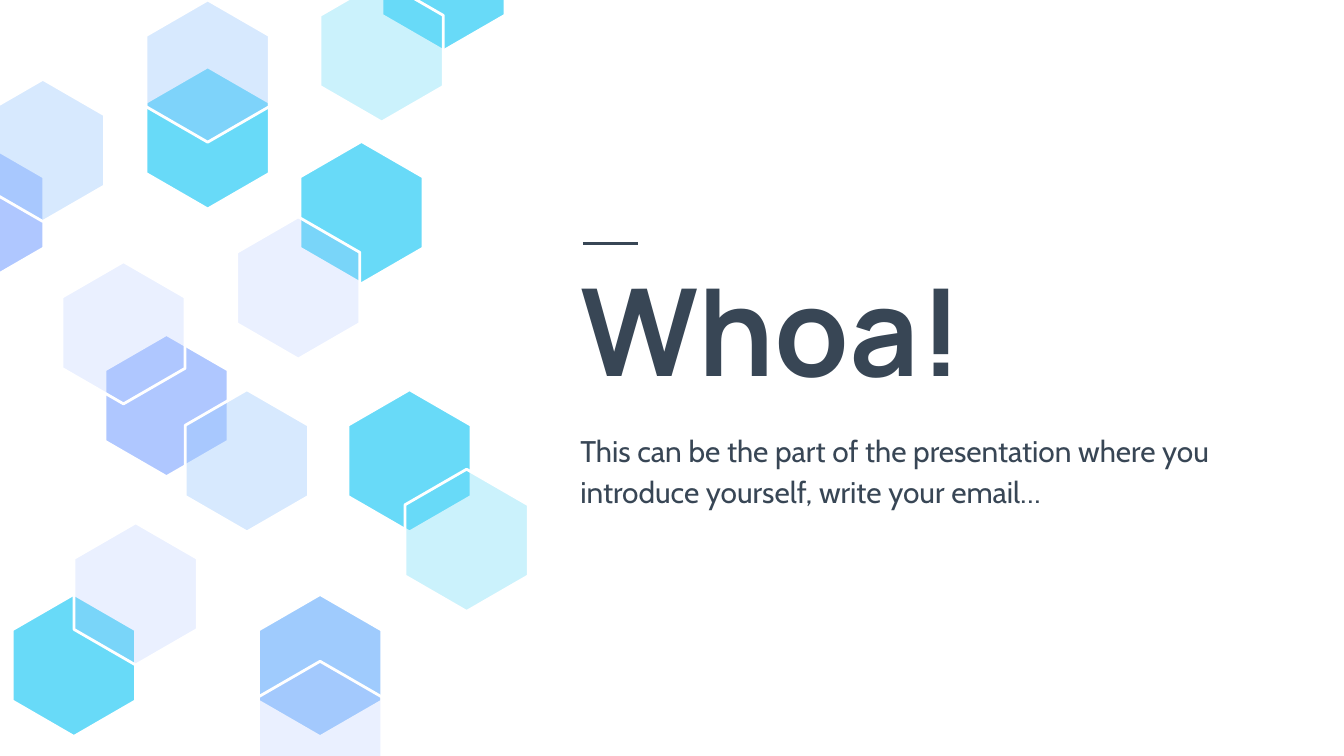
from lxml import etree
from pptx import Presentation
from pptx.dml.color import RGBColor
from pptx.enum import text as t
from pptx.oxml.ns import qn
from pptx.util import Pt

HUES = {"ink": "384655", "white": "FFFFFF", "cyan": "68DAF8",
        "lilac": "AFC7FF", "blue": "9FCBFD"}
TITLE = "Whoa!"
INTRO = ("This can be the part of the presentation where you "
         "introduce yourself, write your email…")
HEXES = [
    (39.6, 318.4, "cyan", 100),
    (111.3, 35.8, "cyan", 100),
    (193.7, 75.8, "cyan", 100),
    (-9.6, 75.8, "lilac", 100),
    (111.3, 0, "blue", 41),
    (89.2, 179.2, "lilac", 100),
    (66.2, 140.2, "lilac", 25),
    (159.8, 116.2, "lilac", 25),
    (237.6, -49, "cyan", 100),
    (132.3, 208.8, "blue", 41),
    (204.5, -10.8, "cyan", 34),
    (171.5, 318.5, "blue", 100),
    (219.4, 208.8, "cyan", 100),
    (72.7, 280.1, "lilac", 25),
    (171.5, 354.3, "lilac", 25),
    (23, 42.5, "blue", 41),
    (250, 251.4, "cyan", 34),
]
WIDE, TALL = 66, 76.2
LEFT, TOP, SPAN = 303.84, 130.32, 360
HEAD, BODY, INSET = 91.44, 52.56, 7.2


def tint(name):
    return RGBColor.from_string(HUES[name])


def write(shape, words, font, size, bold=False, anchor=t.MSO_ANCHOR.TOP, space=1.0):
    frame = shape.text_frame
    frame.word_wrap = True
    frame.auto_size = t.MSO_AUTO_SIZE.NONE
    frame.vertical_anchor = anchor
    frame.margin_left = frame.margin_right = Pt(INSET)
    frame.margin_top = frame.margin_bottom = Pt(INSET)
    para = frame.paragraphs[0]
    para.alignment = t.PP_ALIGN.LEFT
    para.line_spacing = space
    run = para.add_run()
    run.text = words
    run.font.name, run.font.size, run.font.bold = font, Pt(size), bold
    run.font.color.rgb = tint("ink")


def draw_hex(group, mid, top, hue, alpha):
    half, step = WIDE / 2, TALL / 4
    spots = [(mid + half, top + step), (mid + half, top + 3 * step),
             (mid, top + TALL), (mid - half, top + 3 * step),
             (mid - half, top + step)]
    path = group.shapes.build_freeform(Pt(mid), Pt(top))
    path.add_line_segments([(Pt(x), Pt(y)) for x, y in spots], close=True)
    shape = path.convert_to_shape()
    shape.shadow.inherit = False
    shape.fill.solid()
    shape.fill.fore_color.rgb = tint(hue)
    shape.line.color.rgb = tint("white")
    shape.line.width = Pt(1.5)
    if alpha < 100:
        color = shape._element.spPr.find(qn("a:solidFill"))[0]
        etree.SubElement(color, qn("a:alpha"), val=str(alpha * 1000))


def main():
    deck = Presentation()
    deck.slide_width, deck.slide_height = Pt(720), Pt(405)
    slide = deck.slides.add_slide(deck.slide_layouts[5])
    title = slide.shapes.title
    title.left, title.top = Pt(LEFT), Pt(TOP)
    title.width, title.height = Pt(SPAN), Pt(HEAD)
    write(title, TITLE, "Manrope", 65, bold=True, anchor=t.MSO_ANCHOR.BOTTOM)
    intro = slide.shapes.add_textbox(Pt(LEFT), Pt(TOP + HEAD), Pt(SPAN), Pt(BODY))
    write(intro, INTRO, "Cabin", 16, space=1.15)

    group = slide.shapes.add_group_shape()
    for item in HEXES:
        draw_hex(group, *item)

    start = LEFT + 8.5
    rule = slide.shapes.add_connector(1, Pt(start), Pt(TOP), Pt(start + 29.5), Pt(TOP))
    rule.line.color.rgb = tint("ink")
    rule.line.width = Pt(1.5)
    etree.SubElement(rule._element.spPr, qn("a:effectLst"))
    deck.save("out.pptx")


if __name__ == "__main__":
    main()
